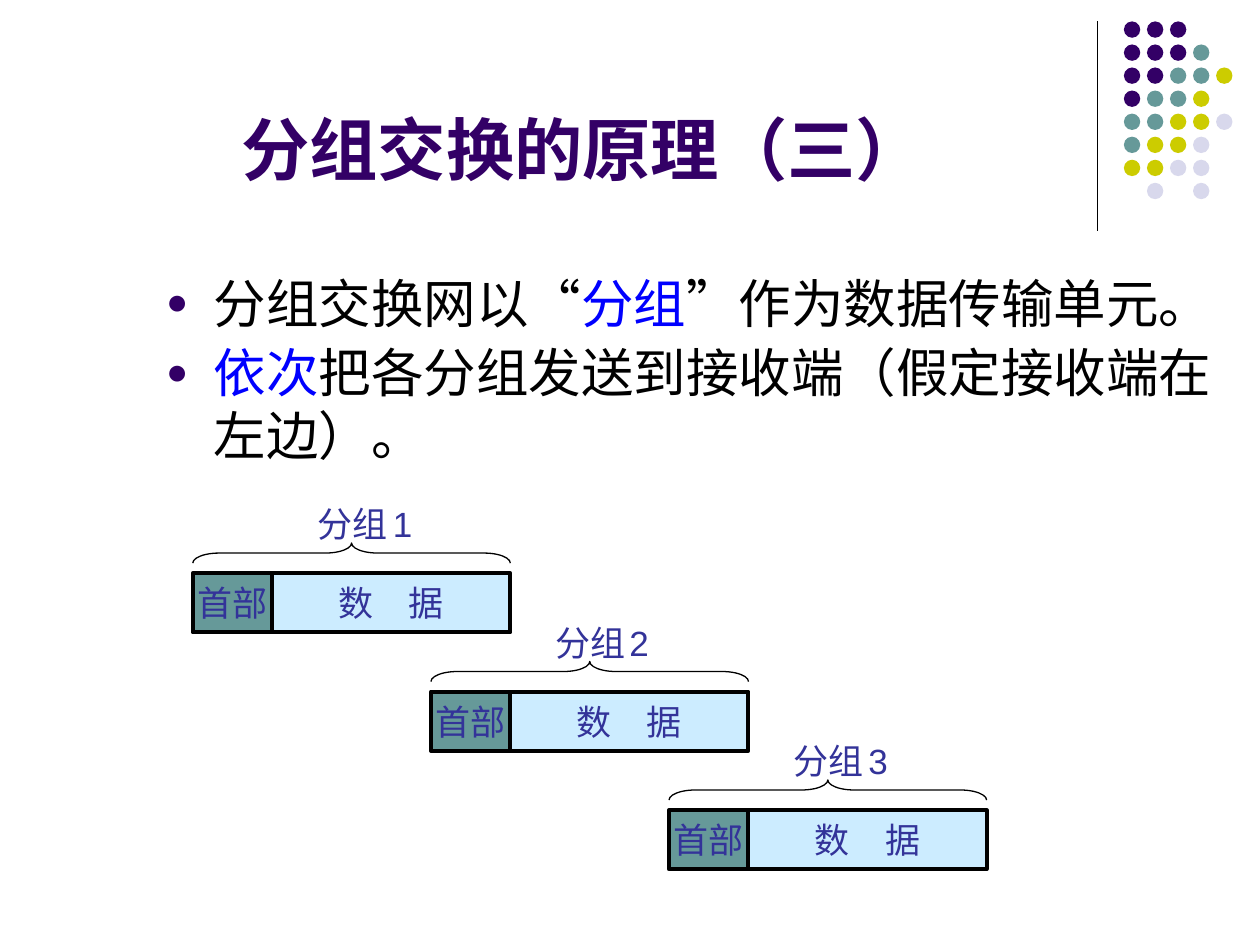
from lxml.etree import SubElement
from pptx import Presentation
from pptx.dml.color import RGBColor
from pptx.enum.lang import MSO_LANGUAGE_ID as Lang
from pptx.enum.shapes import MSO_CONNECTOR as Connector, MSO_SHAPE as Shape
from pptx.enum.text import MSO_ANCHOR as Anchor, MSO_AUTO_SIZE as AutoSize, PP_ALIGN as Align
from pptx.oxml.ns import qn
from pptx.util import Inches, Pt

COLORS = {
    "ink": "000000", "title": "330066", "teal": "669999", "olive": "CCCC00",
    "mist": "D8D8EC", "key": "0000FF", "payload": "CCECFF", "packet": "333399",
}
DOT_ROWS = ["PPP", "PPPT", "PPTTO", "PTTO", "TTOOM", "TOOM", "OOMM", " M M"]
DOT_COLORS = {"P": "title", "T": "teal", "O": "olive", "M": "mist"}
DOT_PITCH = 0.183
UNIT, ROW_STEP, BAR_HEIGHT = 0.63, 0.94, 0.47
FIRST_LEFT, FIRST_TOP = 1.53, 4.55
LABEL_GAPS = [14, 10, 12]


def rgb(name):
    """Return the named colour."""
    return RGBColor.from_string(COLORS[name])


def box(left, top, width, height):
    """Turn inches into a placement."""
    return [Inches(length) for length in (left, top, width, height)]


def add_run(paragraph, text, size, color, font="Arial", bold=False):
    """Add one formatted run."""
    run = paragraph.add_run()
    run.text = text
    run.font.size, run.font.name, run.font.bold = Pt(size), font, bold
    run.font.color.rgb = rgb(color)
    run.font.language_id = Lang.SIMPLIFIED_CHINESE


def add_figure(shapes, kind, place, fill=None, line_width=None):
    """Add a preset shape with an optional fill and black outline."""
    figure = shapes.add_shape(kind, *box(*place))
    figure.shadow.inherit = False
    if fill:
        figure.fill.solid()
        figure.fill.fore_color.rgb = rgb(fill)
    else:
        figure.fill.background()
    if line_width:
        figure.line.color.rgb = rgb("ink")
        figure.line.width = Pt(line_width)
    else:
        figure.line.fill.background()
    return figure


def add_ornament(shapes):
    """Draw the corner rule and its field of dots."""
    rule = shapes.add_connector(
        Connector.STRAIGHT, Inches(8.71), Inches(0.17), Inches(8.71), Inches(1.83))
    rule.line.color.rgb = rgb("ink")
    rule.line.width = Pt(0.75)
    SubElement(rule._element.spPr, qn("a:effectLst"))
    dots = shapes.add_group_shape().shapes
    for row, codes in enumerate(DOT_ROWS):
        for column, code in enumerate(codes):
            if code in DOT_COLORS:
                place = (8.92 + column * DOT_PITCH, 0.17 + row * DOT_PITCH, 0.13, 0.13)
                add_figure(dots, Shape.OVAL, place, DOT_COLORS[code])


def set_title(title):
    """Place and fill the title."""
    title.left, title.top, title.width, title.height = box(0.5, 0.13, 8.25, 1.42)
    frame = title.text_frame
    frame.auto_size, frame.vertical_anchor = AutoSize.NONE, Anchor.BOTTOM
    heading = frame.paragraphs[0]
    heading.alignment = Align.CENTER
    add_run(heading, "分组交换的原理（三）", 39, "title", bold=True)


def set_bullet(paragraph):
    """Give a paragraph a hanging round bullet."""
    paragraph.space_before = Pt(3.7)
    properties = paragraph._p.get_or_add_pPr()
    properties.set("marL", str(Inches(0.38)))
    properties.set("indent", str(-Inches(0.38)))
    color = SubElement(properties, qn("a:buClr"))
    SubElement(color, qn("a:srgbClr"), val=COLORS["title"])
    SubElement(properties, qn("a:buSzPct"), val="70000")
    SubElement(properties, qn("a:buFont"), typeface="Arial")
    SubElement(properties, qn("a:buChar"), char="●")


def add_points(shapes, points):
    """Add the bulleted statements."""
    frame = shapes.add_textbox(*box(1.22, 2.1, 8.5, 1.75)).text_frame
    frame.word_wrap = True
    for index, pieces in enumerate(points):
        point = frame.add_paragraph() if index else frame.paragraphs[0]
        set_bullet(point)
        for text, color in pieces:
            add_run(point, text, 30, color)


def add_field(shapes, place, text, fill):
    """Add one labelled field of a packet."""
    field = add_figure(shapes, Shape.RECTANGLE, place, fill, 2.25)
    frame = field.text_frame
    frame.word_wrap, frame.vertical_anchor = False, Anchor.MIDDLE
    frame.paragraphs[0].alignment = Align.CENTER
    add_run(frame.paragraphs[0], text, 20, "packet", "Cabin")


def add_packet(shapes, index, gap_size):
    """Add a packet with its header, data, brace and number."""
    left, top = FIRST_LEFT + index * 3 * UNIT, FIRST_TOP + index * ROW_STEP
    packet = shapes.add_group_shape().shapes
    add_field(packet, (left + UNIT, top, 3 * UNIT, BAR_HEIGHT), "数　据", "payload")
    add_field(packet, (left, top, UNIT, BAR_HEIGHT), "首部", "teal")

    span, depth = 4 * UNIT, 0.16
    place = (left + (span - depth) / 2, top - depth - span / 2, depth, span)
    brace = add_figure(packet, Shape.LEFT_BRACE, place, line_width=0.75)
    brace.rotation = 90
    brace.adjustments[0] = 1.31

    frame = packet.add_textbox(*box(left + 0.89, top - 0.61, 1, 0.44)).text_frame
    frame.word_wrap, frame.auto_size = False, AutoSize.SHAPE_TO_FIT_TEXT
    label = frame.paragraphs[0]
    add_run(label, "分组", 20, "packet", "Cabin")
    add_run(label, " ", gap_size, "packet")
    add_run(label, str(index + 1), 20, "packet")


def main():
    """Build and save the slide."""
    deck = Presentation()
    deck.slide_width, deck.slide_height = Inches(10), Inches(7.5)
    slide = deck.slides.add_slide(deck.slide_layouts[5])
    add_ornament(slide.shapes)
    set_title(slide.shapes.title)
    add_points(slide.shapes, [
        [("分组交换网以“", "ink"), ("分组", "key"), ("”作为数据传输单元。", "ink")],
        [("依次", "key"), ("把各分组发送到接收端（假定接收端在左边）。", "ink")],
    ])
    for index, gap_size in enumerate(LABEL_GAPS):
        add_packet(slide.shapes, index, gap_size)
    deck.save("out.pptx")


if __name__ == "__main__":
    main()
